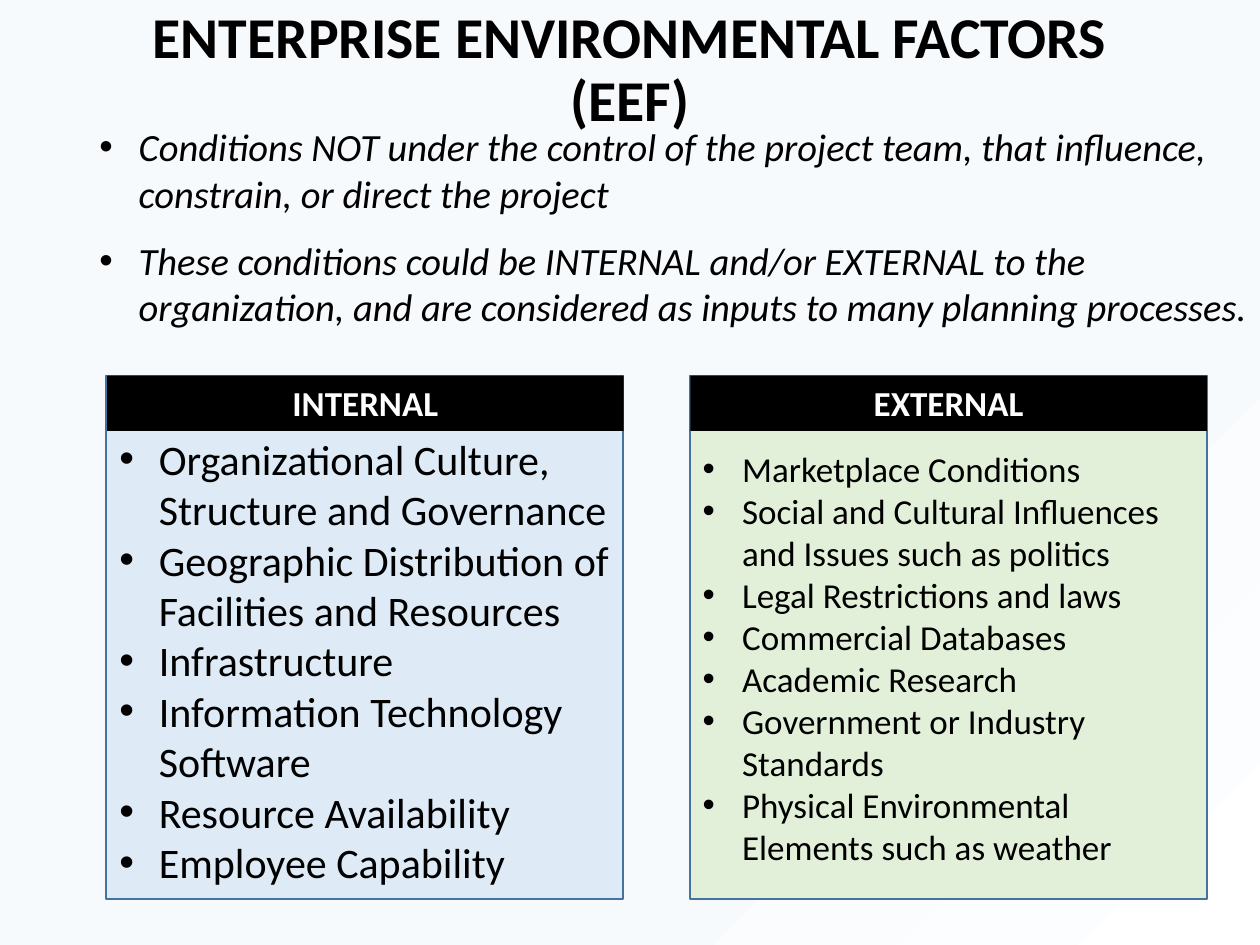
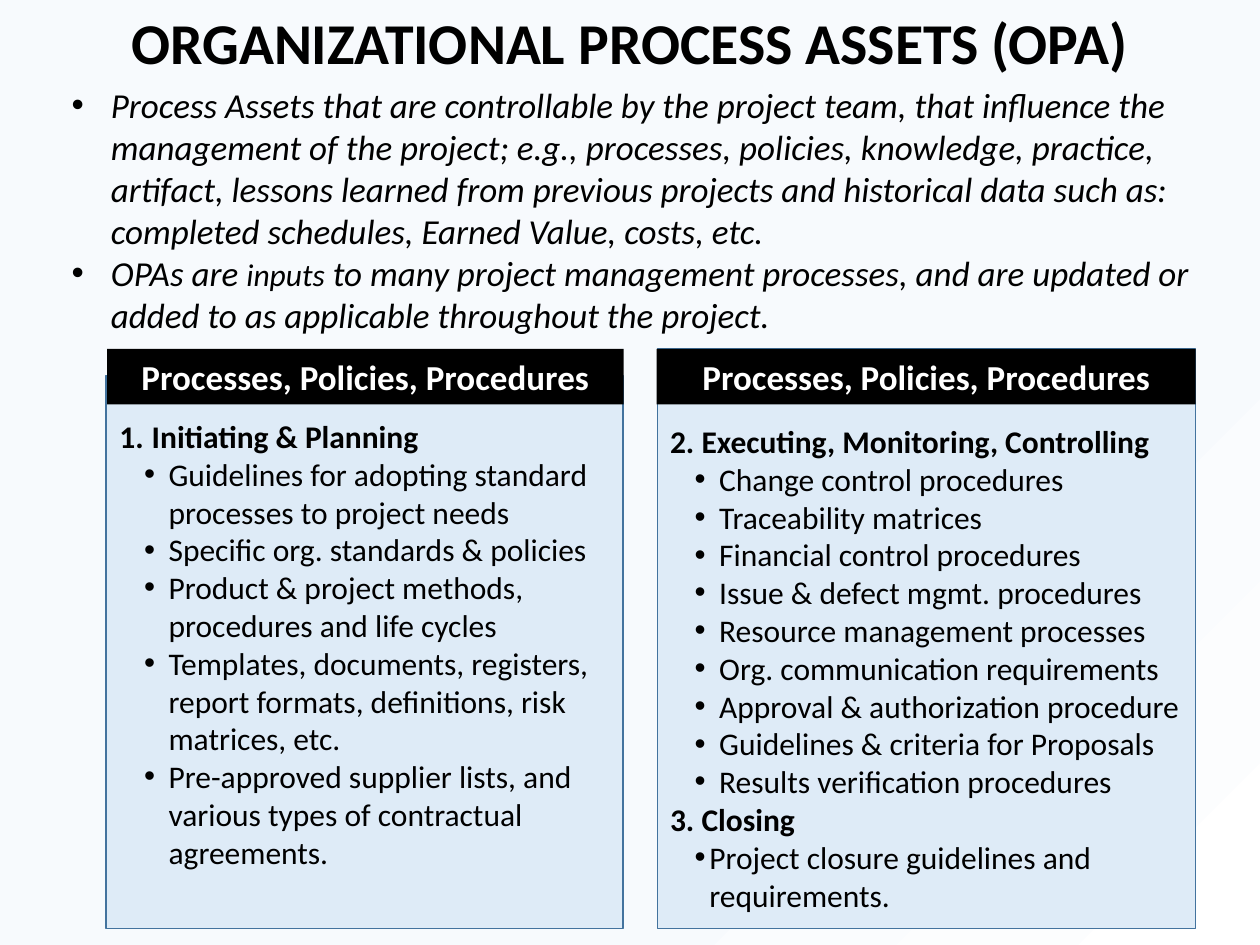
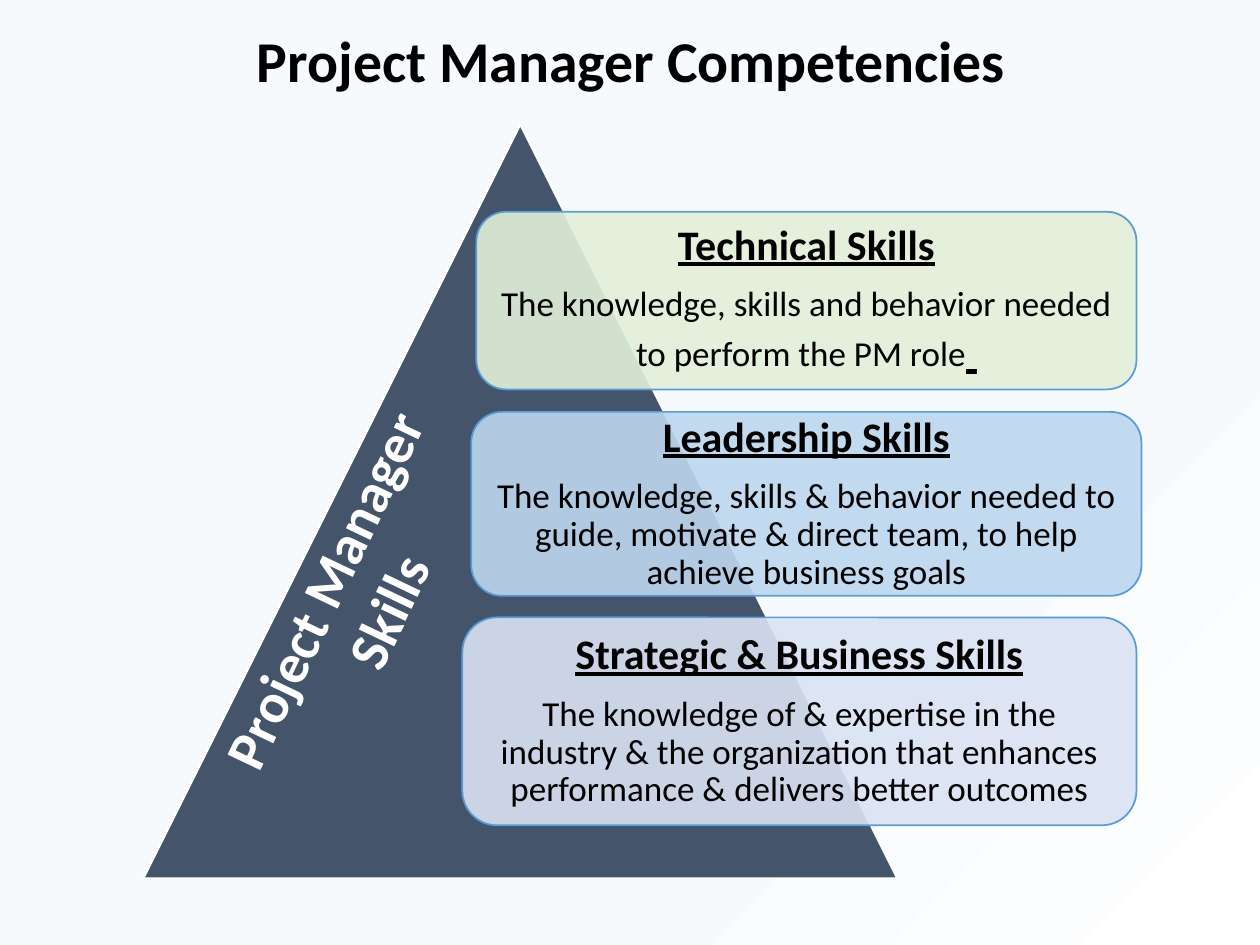
"""Build three slides on project environment factors, process assets and manager skills."""
from dataclasses import dataclass
from typing import NamedTuple

from lxml import etree
from pptx import Presentation
from pptx.dml.color import RGBColor
from pptx.enum import shapes, text
from pptx.oxml import ns
from pptx.util import Pt

FONT = "Calibri"
BLACK, WHITE = "000000", "FFFFFF"
PALE, BLUE, GREEN = "F7FAFD", "DEEBF7", "E2F0D9"
PANEL_LINE, CARD_LINE, SLATE = "43739E", "5B9BD5", "44546A"
HEADER_HEIGHT = 31.7
CENTER = text.PP_ALIGN.CENTER
KIND = shapes.MSO_SHAPE


class Area(NamedTuple):
    """A rectangle in points."""
    left: float
    top: float
    width: float
    height: float


class ListStyle(NamedTuple):
    """Indents and marker of a list level."""
    left: float = 0
    hang: float = 0
    bullet: str = ""
    bold: bool = False


class Item(NamedTuple):
    """One list entry with its level."""
    text: str
    style: ListStyle


@dataclass
class Column:
    """A headed panel with a list."""
    heading: str
    panel: Area
    header: Area
    body: Area
    fill: str
    size: float
    items: list[Item]


@dataclass
class Card:
    """A rounded box that describes a skill."""
    heading: str
    detail: str
    area: Area
    fill: str
    tail_size: float = 0


BULLET = ListStyle(22.5, 22.5, "•")
SUB_BULLET = ListStyle(28.1, 14, "•")
CLOSE_BULLET = ListStyle(22.5, 8.5, "•")
NUMBERED = ListStyle(14.4, 14.4, "1.", True)
STAGE = ListStyle(bold=True)


def color(value: str) -> RGBColor:
    """Turn a hex string into a colour."""
    return RGBColor.from_string(value)


def add_child(parent, tag: str, **attributes: str):
    """Append a drawing element to a parent."""
    return etree.SubElement(parent, ns.qn(tag), attributes)


def add_para(box, *, style: ListStyle = ListStyle(), align=text.PP_ALIGN.LEFT,
             spacing: float = 1, before: float = 0, after: float = 0):
    """Start a paragraph in a box."""
    frame = box.text_frame
    para = frame.add_paragraph() if frame.text else frame.paragraphs[0]
    para.alignment, para.line_spacing = align, spacing
    para.space_before, para.space_after = Pt(before), Pt(after)
    properties = para._p.get_or_add_pPr()
    properties.set("marL", str(Pt(style.left)))
    properties.set("indent", str(-Pt(style.hang)))
    if style.bullet == "•":
        add_child(properties, "a:buFont", typeface="Arial")
        add_child(properties, "a:buChar", char=style.bullet)
    elif style.bullet:
        add_child(properties, "a:buAutoNum", type="arabicPeriod")
    return para


def write(para, words: str, *, size: float, ink: str = BLACK, bold: bool = False,
          italic: bool = False, underline: bool = False) -> None:
    """Add formatted words to a paragraph."""
    span = para.add_run()
    span.text = words
    font = span.font
    font.name, font.size, font.color.rgb = FONT, Pt(size), color(ink)
    font.bold, font.italic, font.underline = bold, italic, underline


def add_box(page, area: Area, wrap: bool = True):
    """Add a text box."""
    box = page.shapes.add_textbox(*map(Pt, area))
    box.text_frame.word_wrap = wrap
    return box


def add_shape(page, kind, area: Area, fill: str, line: str = "", opacity: int = 100):
    """Add a filled preset shape."""
    shape = page.shapes.add_shape(kind, *map(Pt, area))
    shape.shadow.inherit = False
    shape.fill.solid()
    shape.fill.fore_color.rgb = color(fill)
    if opacity < 100:
        tint = shape._element.spPr.find(".//" + ns.qn("a:srgbClr"))
        add_child(tint, "a:alpha", val=str(opacity * 1000))
    if line:
        shape.line.color.rgb = color(line)
        shape.line.width = Pt(1)
    else:
        shape.line.fill.background()
    return shape


def add_page(deck, title: str, area: Area):
    """Add a slide with the shared background and title."""
    page = deck.slides.add_slide(deck.slide_layouts[6])
    fill = page.background.fill
    fill.gradient()
    fill.gradient_angle = 315
    for stop, shade, position in zip(fill.gradient_stops, (PALE, WHITE), (0.67, 1)):
        stop.color.rgb, stop.position = color(shade), position
    box = add_box(page, area)
    box.text_frame.vertical_anchor = text.MSO_ANCHOR.MIDDLE
    write(add_para(box, align=CENTER, spacing=0.9), title, size=33, bold=True)
    return page


def add_column(page, column: Column) -> None:
    """Draw a panel, its header and its list."""
    add_shape(page, KIND.RECTANGLE, column.panel, column.fill, PANEL_LINE)
    header = add_shape(page, KIND.RECTANGLE, column.header, BLACK)
    header.text_frame.vertical_anchor = text.MSO_ANCHOR.TOP
    write(add_para(header, align=CENTER), column.heading, size=20, ink=WHITE, bold=True)
    box = add_box(page, column.body)
    for item in column.items:
        para = add_para(box, style=item.style)
        write(para, item.text, size=column.size, bold=item.style.bold)


def add_card(page, card: Card) -> None:
    """Draw a translucent skill card."""
    shape = add_shape(page, KIND.ROUNDED_RECTANGLE, card.area, card.fill, CARD_LINE, 90)
    frame = shape.text_frame
    frame.word_wrap = True
    frame.vertical_anchor = text.MSO_ANCHOR.MIDDLE
    frame.margin_left = frame.margin_right = Pt(7.2)
    frame.margin_top = frame.margin_bottom = Pt(7.2)
    heading = add_para(shape, align=CENTER, spacing=0.9, after=10)
    write(heading, card.heading, size=24, bold=True, underline=True)
    detail = add_para(shape, align=CENTER, spacing=0.9)
    write(detail, card.detail, size=20)
    if card.tail_size:
        write(detail, " ", size=card.tail_size, bold=True, underline=True)


def listed(style: ListStyle, *entries: str) -> list[Item]:
    """Give several entries the same level."""
    return [Item(entry, style) for entry in entries]


def build_factors(deck) -> None:
    """Build the slide on environmental factors."""
    page = add_page(deck, "ENTERPRISE ENVIRONMENTAL FACTORS (EEF)", Area(49.7, 9.4, 620.6, 62.6))
    intro = add_box(page, Area(49.7, 67, 670.3, 165))
    for words in (
        "Conditions NOT under the control of the project team, that influence, constrain, "
        "or direct the project",
        "These conditions could be INTERNAL and/or EXTERNAL to the organization, and are "
        "considered as inputs to many planning processes.",
    ):
        write(add_para(intro, style=BULLET, before=6, after=6), words, size=22, italic=True)
    add_column(page, Column(
        "INTERNAL", Area(60.8, 214.6, 295.2, 299), Area(61.2, 214.6, 295.2, HEADER_HEIGHT),
        Area(61.2, 244, 295.2, 298), BLUE, 24, listed(
            BULLET,
            "Organizational Culture, Structure and Governance",
            "Geographic Distribution of Facilities and Resources",
            "Infrastructure",
            "Information Technology Software",
            "Resource Availability",
            "Employee Capability")))
    add_column(page, Column(
        "EXTERNAL", Area(394.5, 214.6, 295.2, 299), Area(394.5, 214.6, 295.2, HEADER_HEIGHT),
        Area(394.5, 252, 295.2, 254), GREEN, 20, listed(
            BULLET,
            "Marketplace Conditions",
            "Social and Cultural Influences and Issues such as politics",
            "Legal Restrictions and laws",
            "Commercial Databases",
            "Academic Research",
            "Government or Industry Standards",
            "Physical Environmental Elements such as weather")))


def build_assets(deck) -> None:
    """Build the slide on process assets."""
    page = add_page(deck, "ORGANIZATIONAL PROCESS ASSETS (OPA)", Area(49.7, -5, 620.6, 62.6))
    intro = add_box(page, Area(33.8, 44, 683.3, 177))
    write(add_para(intro, style=BULLET),
          "Process Assets that are controllable by the project team, that influence the "
          "management of the project; e.g., processes, policies, knowledge, practice, artifact, "
          "lessons learned from previous projects and historical data such as: completed "
          "schedules, Earned Value, costs, etc.", size=20, italic=True)
    usage = add_para(intro, style=BULLET)
    for words, size in (
        ("OPAs are ", 20),
        ("inputs", 18),
        (" to many project management processes, and are updated or added to as applicable "
         "throughout the project.", 20),
    ):
        write(usage, words, size=size, italic=True)
    heading = "Processes, Policies, Procedures"
    add_column(page, Column(
        heading, Area(60.8, 214.6, 295.2, 316), Area(61.2, 199.4, 295.2, HEADER_HEIGHT),
        Area(61.2, 234.7, 295.2, 298), BLUE, 18,
        [Item(" Initiating & Planning", NUMBERED)] + listed(
            SUB_BULLET,
            "Guidelines for adopting standard processes to project needs",
            "Specific org. standards & policies",
            "Product & project methods, procedures and life cycles",
            "Templates, documents, registers, report formats, definitions, risk matrices, etc.",
            "Pre-approved supplier lists, and various types of contractual agreements.")))
    add_column(page, Column(
        heading, Area(375.8, 199.4, 307.4, 331.2), Area(375.3, 199.4, 308, HEADER_HEIGHT),
        Area(375.8, 237.6, 313.2, 291), BLUE, 18,
        [Item("2. Executing, Monitoring, Controlling", STAGE)] + listed(
            SUB_BULLET,
            "Change control procedures",
            "Traceability matrices",
            "Financial control procedures",
            "Issue & defect mgmt. procedures",
            "Resource management processes",
            "Org. communication requirements",
            "Approval & authorization procedure",
            "Guidelines & criteria for Proposals",
            "Results verification procedures",
        ) + [Item("3. Closing", STAGE),
             Item("Project closure guidelines and requirements.", CLOSE_BULLET)]))


def build_competencies(deck) -> None:
    """Build the slide on manager skills."""
    page = add_page(deck, "Project Manager Competencies", Area(50.4, 1.4, 620.6, 69.8))
    add_shape(page, KIND.ISOSCELES_TRIANGLE, Area(82.1, 71.3, 430.5, 430.5), SLATE, WHITE)
    for card in (
        Card("Technical Skills",
             "The knowledge, skills and behavior needed to perform the PM role",
             Area(272.2, 121, 377.2, 101.5), GREEN, 28),
        Card("Leadership Skills",
             "The knowledge, skills & behavior needed to guide, motivate & direct team, "
             "to help achieve business goals",
             Area(269.3, 235.4, 383, 105.1), "BDD7EE"),
        Card("Strategic & Business Skills",
             "The knowledge of & expertise in the industry & the organization that enhances "
             "performance & delivers better outcomes",
             Area(264.2, 352.8, 385.2, 118.8), "DAE3F3"),
    ):
        add_card(page, card)
    label = add_box(page, Area(84.2, 301.7, 236.9, 85), wrap=False)
    label.rotation = 295.5
    write(add_para(label), "Project Manager", size=32, ink=WHITE, bold=True)
    write(add_para(label, align=CENTER), " Skills", size=32, ink=WHITE, bold=True)


def main() -> None:
    """Build and save the deck."""
    deck = Presentation()
    deck.slide_width, deck.slide_height = Pt(720), Pt(540)
    build_factors(deck)
    build_assets(deck)
    build_competencies(deck)
    deck.save("out.pptx")


if __name__ == "__main__":
    main()
